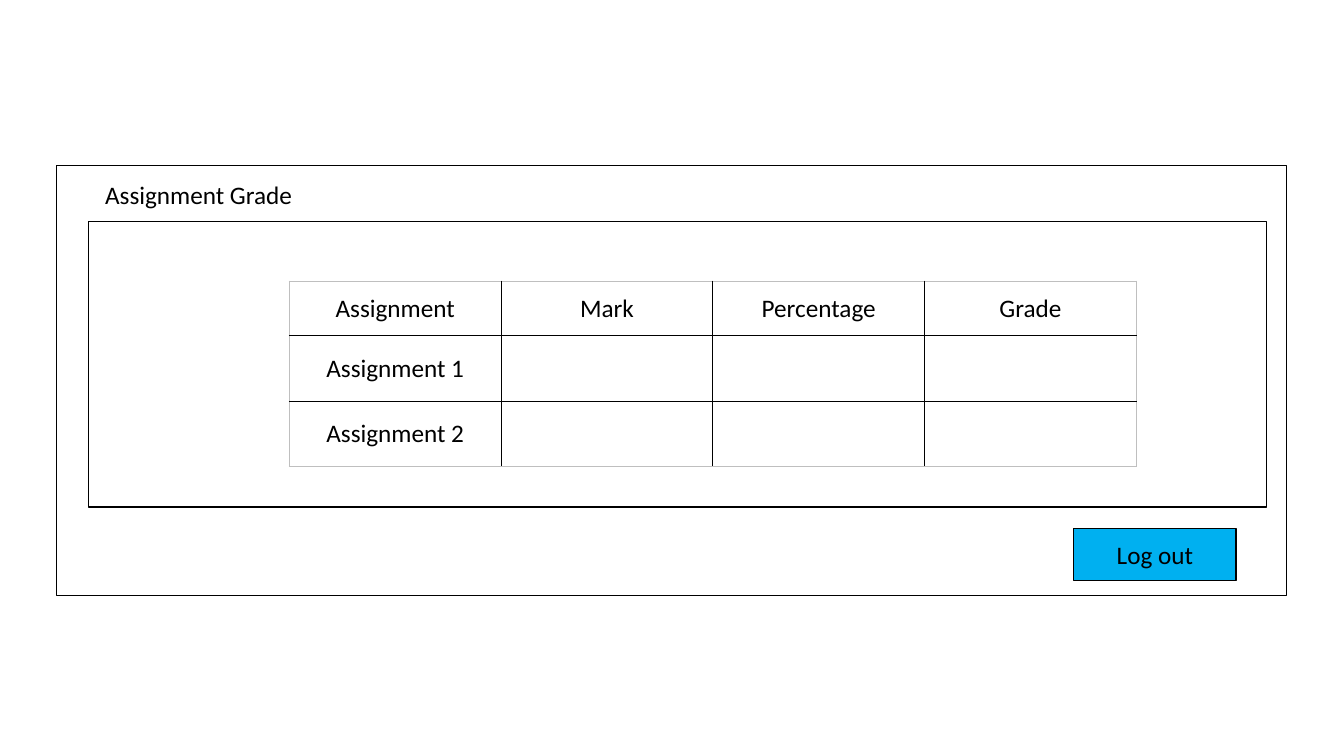
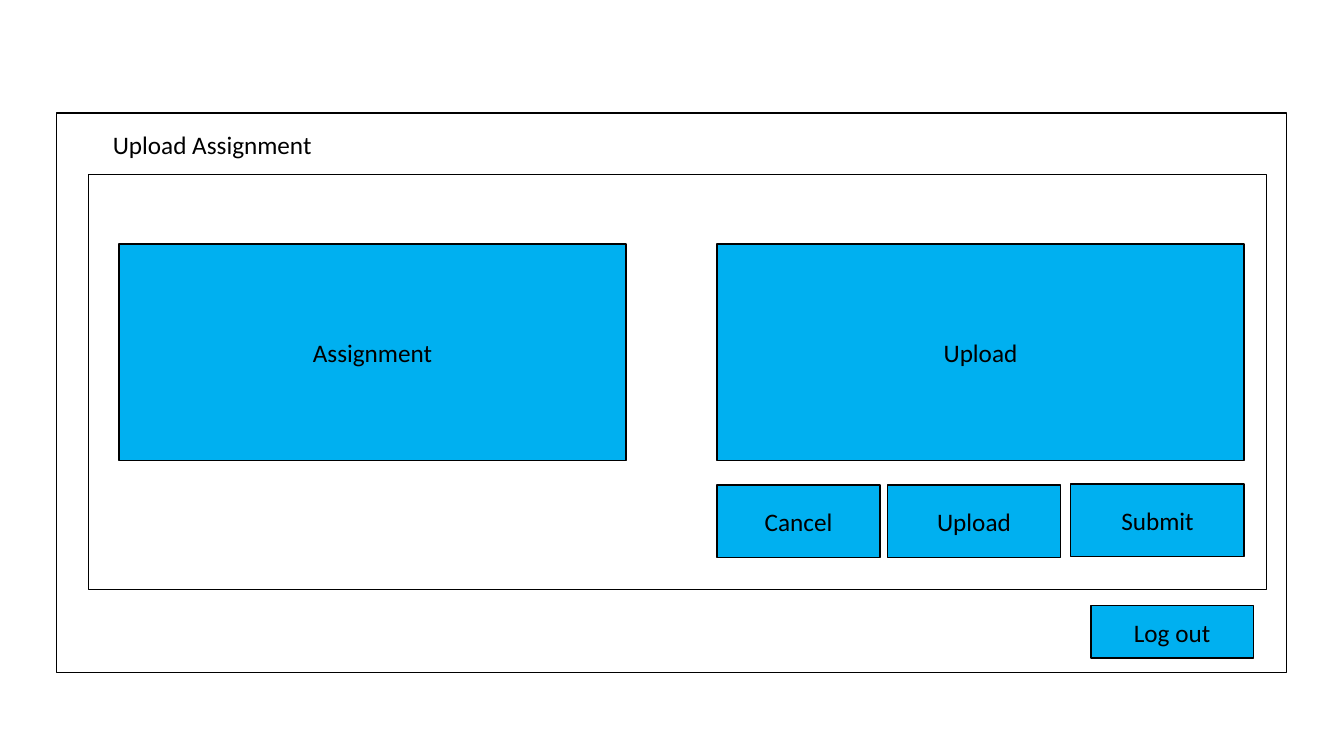
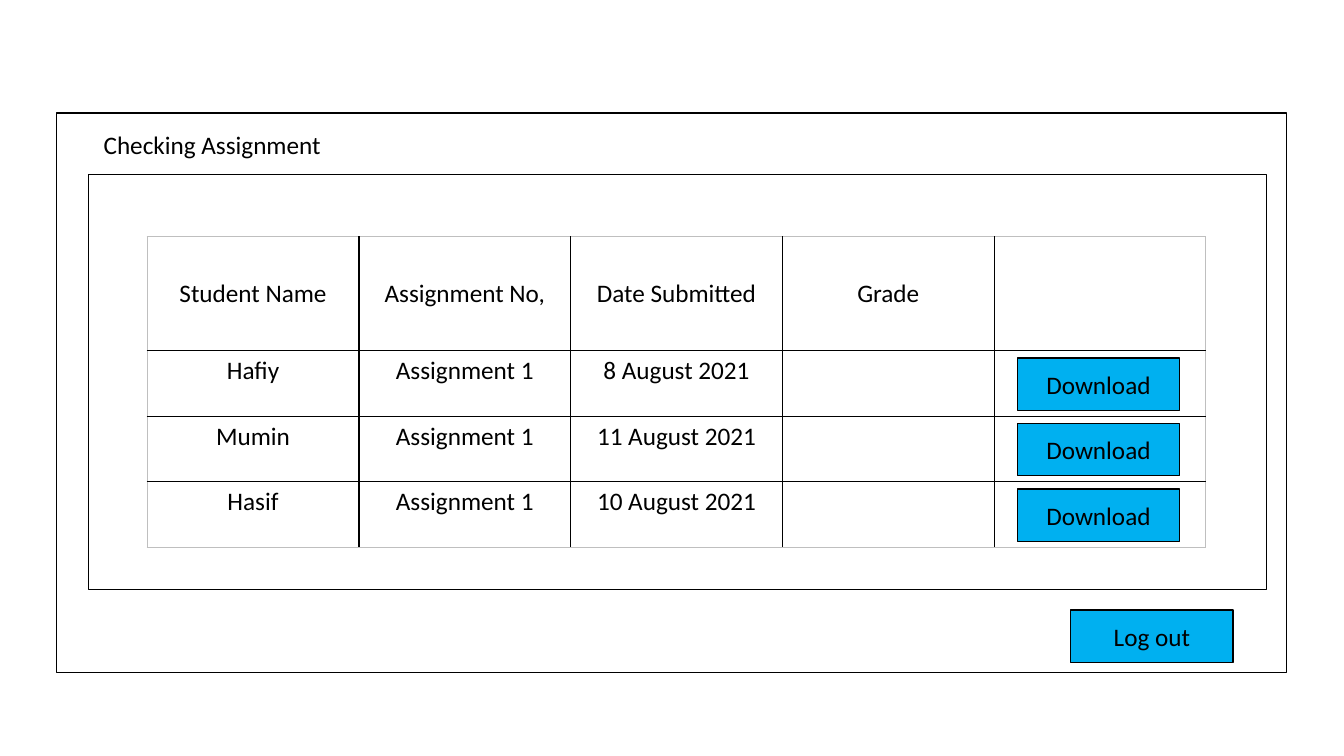
from dataclasses import dataclass
from typing import Any, NamedTuple

from lxml import etree
from pptx import Presentation
from pptx import util as u
from pptx.dml.color import RGBColor
from pptx.enum import shapes, text
from pptx.oxml import ns


@dataclass(frozen=True)
class Theme:
    font: str = "Calibri"
    size: int = 18
    ink: str = "000000"
    button: str = "00B0F0"
    table_edge: str = "BFBFBF"
    line: float = 1


class Box(NamedTuple):
    left: float
    top: float
    width: float
    height: float


@dataclass(frozen=True)
class Button:
    label: str
    box: Box


@dataclass(frozen=True)
class Grid:
    left: float
    top: float
    heights: list[float]
    rows: list[list[str]]
    body_anchor: text.MSO_ANCHOR
    column_width: float = 2.1


@dataclass(frozen=True)
class Screen:
    title: str
    title_box: Box
    window: Box
    panel: Box
    buttons: list[Button]
    grid: Grid | None = None


THEME = Theme()
BUTTON_WIDTH, BUTTON_HEIGHT = 1.61, 0.52
TALL_WINDOW = Box(0.56, 1.12, 12.2, 5.55)
TALL_PANEL = Box(0.88, 1.73, 11.68, 4.12)
TALL_TITLE = Box(0.79, 1.13, 2.63, 0.61)


def small_button(label: str, left: float, top: float) -> Button:
    return Button(label, Box(left, top, BUTTON_WIDTH, BUTTON_HEIGHT))


SCREENS = [
    Screen(
        "Assignment Grade",
        Box(0.91, 1.62, 2.12, 0.61),
        Box(0.56, 1.64, 12.2, 4.27),
        Box(0.88, 2.2, 11.68, 2.83),
        [small_button("Log out", 10.65, 5.24)],
        Grid(
            2.87, 2.79, [0.54, 0.65, 0.65],
            [
                ["Assignment", "Mark", "Percentage", "Grade"],
                ["Assignment 1", "", "", ""],
                ["Assignment 2", "", "", ""],
            ],
            text.MSO_ANCHOR.MIDDLE,
        ),
    ),
    Screen(
        "Upload Assignment", TALL_TITLE, TALL_WINDOW, TALL_PANEL,
        [
            Button("Assignment", Box(1.18, 2.42, 5.03, 2.15)),
            Button("Upload", Box(7.11, 2.42, 5.23, 2.15)),
            Button("Cancel", Box(7.11, 4.81, 1.62, 0.72)),
            Button("Upload", Box(8.8, 4.81, 1.72, 0.72)),
            Button("Submit", Box(10.62, 4.8, 1.72, 0.72)),
            small_button("Log out", 10.82, 6.01),
        ],
    ),
    Screen(
        "Checking Assignment", TALL_TITLE, TALL_WINDOW, TALL_PANEL,
        [small_button("Download", 10.09, 3.55 + 0.65 * row) for row in range(3)]
        + [small_button("Log out", 10.62, 6.05)],
        Grid(
            1.46, 2.35, [1.13, 0.65, 0.65, 0.65],
            [
                ["Student Name", "Assignment No,", "Date Submitted", "Grade", ""],
                ["Hafiy", "Assignment 1", "8 August 2021", "", ""],
                ["Mumin", "Assignment 1", "11 August 2021", "", ""],
                ["Hasif", "Assignment 1", "10 August 2021", "", ""],
            ],
            text.MSO_ANCHOR.TOP,
        ),
    ),
]


def apply_format(target: Any, values: dict[str, Any]) -> None:
    for name, value in values.items():
        setattr(target, name, value)


def place(box: Box) -> list[u.Length]:
    return [u.Inches(value) for value in box]


def write(frame: Any, words: str) -> None:
    paragraph = frame.paragraphs[0]
    paragraph.alignment = text.PP_ALIGN.CENTER
    if words:
        paragraph.add_run().text = words
    apply_format(paragraph.font, {"name": THEME.font, "size": u.Pt(THEME.size)})
    paragraph.font.color.rgb = RGBColor.from_string(THEME.ink)


def add_box(slide: Any, box: Box, fill: str | None = None, label: str = "") -> None:
    shape = slide.shapes.add_shape(shapes.MSO_SHAPE.RECTANGLE, *place(box))
    shape.shadow.inherit = False
    if fill:
        shape.fill.solid()
        shape.fill.fore_color.rgb = RGBColor.from_string(fill)
    else:
        shape.fill.background()
    shape.line.color.rgb = RGBColor.from_string(THEME.ink)
    shape.line.width = u.Pt(THEME.line)
    if label:
        shape.text_frame.vertical_anchor = text.MSO_ANCHOR.MIDDLE
        write(shape.text_frame, label)


def add_title(slide: Any, words: str, box: Box) -> None:
    frame = slide.shapes.add_textbox(*place(box)).text_frame
    apply_format(frame, {"word_wrap": True, "vertical_anchor": text.MSO_ANCHOR.MIDDLE})
    write(frame, words)


def add_border(cell: Any, side: str, color: str) -> None:
    properties = cell._tc.get_or_add_tcPr()
    line = etree.SubElement(properties, ns.qn(f"a:{side}"), w=str(u.Pt(THEME.line)))
    fill = etree.SubElement(line, ns.qn("a:solidFill"))
    etree.SubElement(fill, ns.qn("a:srgbClr"), val=color)


def add_grid(slide: Any, grid: Grid) -> None:
    row_count, column_count = len(grid.rows), len(grid.rows[0])
    box = Box(grid.left, grid.top, grid.column_width * column_count, sum(grid.heights))
    table = slide.shapes.add_table(row_count, column_count, *place(box)).table
    apply_format(table, {"first_row": False, "horz_banding": False})
    for column in table.columns:
        column.width = u.Inches(grid.column_width)
    for row_index, (height, row) in enumerate(zip(grid.heights, grid.rows)):
        table.rows[row_index].height = u.Inches(height)
        for column_index, words in enumerate(row):
            cell = table.cell(row_index, column_index)
            outer_sides = {
                "lnL": column_index == 0,
                "lnR": column_index == column_count - 1,
                "lnT": row_index == 0,
                "lnB": row_index == row_count - 1,
            }
            for side, is_outer in outer_sides.items():
                add_border(cell, side, THEME.table_edge if is_outer else THEME.ink)
            cell.fill.background()
            cell.vertical_anchor = grid.body_anchor if row_index else text.MSO_ANCHOR.MIDDLE
            write(cell.text_frame, words)


def add_screen(presentation: Any, screen: Screen) -> None:
    slide = presentation.slides.add_slide(presentation.slide_layouts[6])
    add_box(slide, screen.window)
    add_box(slide, screen.panel)
    add_title(slide, screen.title, screen.title_box)
    if screen.grid:
        add_grid(slide, screen.grid)
    for button in screen.buttons:
        add_box(slide, button.box, THEME.button, button.label)


def main() -> None:
    presentation = Presentation()
    apply_format(
        presentation, {"slide_width": u.Inches(13.33), "slide_height": u.Inches(7.5)}
    )
    for screen in SCREENS:
        add_screen(presentation, screen)
    presentation.save("out.pptx")


if __name__ == "__main__":
    main()
